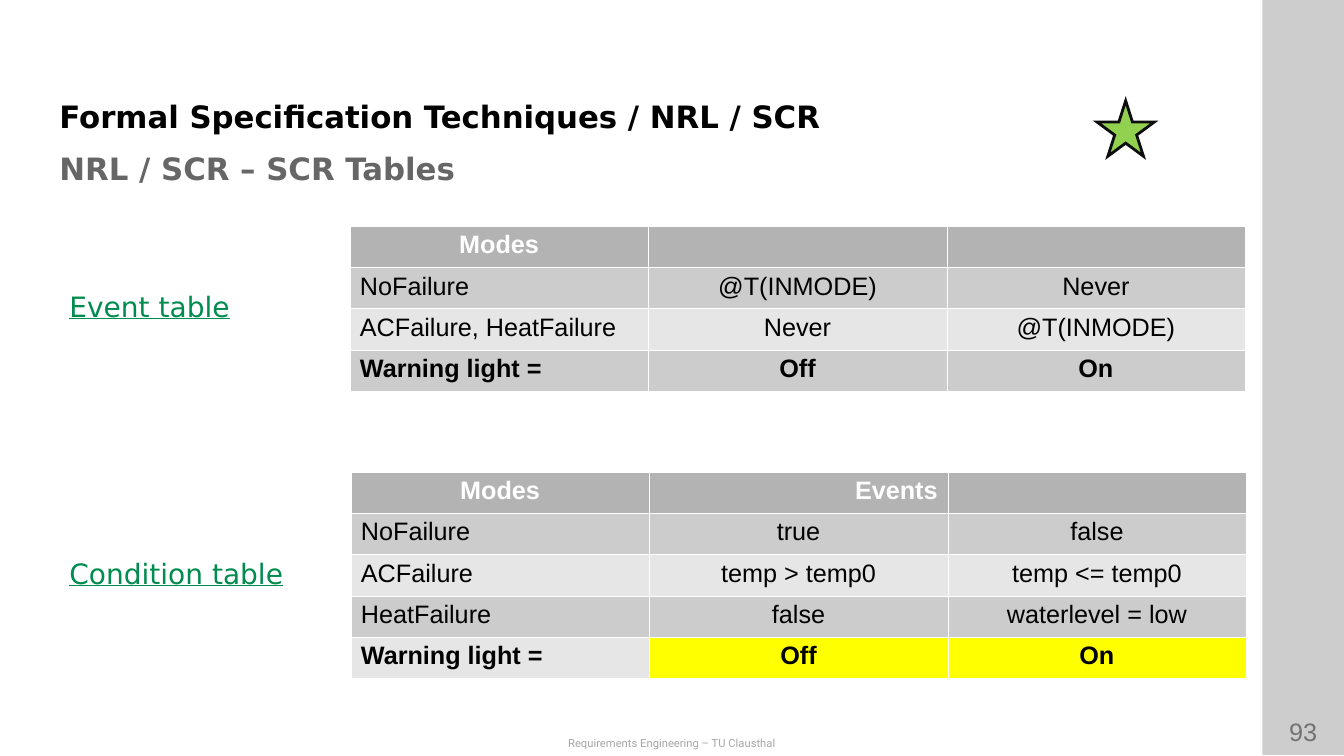
from dataclasses import dataclass

from lxml.etree import SubElement
from pptx import Presentation
from pptx.dml.color import RGBColor
from pptx.enum.shapes import MSO_SHAPE
from pptx.enum.text import MSO_ANCHOR, PP_ALIGN
from pptx.oxml.ns import qn
from pptx.util import Emu, Pt

EMU_PER_PX = 9144
LEFT, CENTER, RIGHT = PP_ALIGN.LEFT, PP_ALIGN.CENTER, PP_ALIGN.RIGHT
HEADER, DARK, LIGHT, YELLOW = "B3B3B3", "CCCCCC", "E6E6E6", "FFFF00"
COL_W, ROW_H = 296, 41


@dataclass
class Box:
    x: int
    y: int
    w: int
    h: int


@dataclass
class Label:
    text: str
    box: Box
    size: int
    color: str
    font: str = "DejaVu Sans"
    bold: bool = False
    underline: bool = False
    align: PP_ALIGN = LEFT
    anchor: MSO_ANCHOR = MSO_ANCHOR.TOP
    inset_x: int = 10
    inset_y: int = 5


@dataclass
class ModeTable:
    x: int
    y: int
    rows: list[list[str]]
    result_fill: str


SIDEBAR = Box(1252, 0, 81, 749)
PAGE_NUMBER = Label("93", Box(1251, 706, 83, 40), 18, "808080", font="Arial", align=CENTER)
LABELS = [
    Label("Requirements Engineering – TU Clausthal", Box(0, 726, 1333, 23), 8, "A6A6A6",
          font="Roboto", align=CENTER),
    Label("Formal Specification Techniques / NRL / SCR", Box(59, 79, 1133, 55), 22, "000000",
          bold=True, anchor=MSO_ANCHOR.BOTTOM, inset_x=0, inset_y=0),
    Label("NRL / SCR – SCR Tables", Box(59, 139, 1133, 55), 22, "666666",
          bold=True, anchor=MSO_ANCHOR.MIDDLE, inset_x=0, inset_y=0),
    Label("Condition table", Box(59, 547, 280, 43), 20, "008C4F", underline=True),
    Label("Event table", Box(59, 282, 280, 43), 20, "008C4F", underline=True),
]
TABLES = [
    ModeTable(347, 224, [
        ["Modes", "", ""],
        ["NoFailure", "@T(INMODE)", "Never"],
        ["ACFailure, HeatFailure", "Never", "@T(INMODE)"],
        ["Warning light =", "Off", "On"],
    ], DARK),
    ModeTable(348, 468, [
        ["Modes", "Events", ""],
        ["NoFailure", "true", "false"],
        ["ACFailure", "temp > temp0", "temp <= temp0"],
        ["HeatFailure", "false", "waterlevel = low"],
        ["Warning light =", "Off", "On"],
    ], YELLOW),
]


def px(n: int) -> Emu:
    return Emu(n * EMU_PER_PX)


def place(box: Box) -> list[Emu]:
    return [px(n) for n in (box.x, box.y, box.w, box.h)]


def paint(fill, color: str) -> None:
    fill.solid()
    fill.fore_color.rgb = RGBColor.from_string(color)


def write(tf, text: str, *, size: int, color: str, font: str = "Arial", bold: bool = False,
          underline: bool = False, align: PP_ALIGN = LEFT) -> None:
    p = tf.paragraphs[0]
    p.alignment = align
    r = p.add_run()
    r.text = text
    r.font.name = font
    r.font.size = Pt(size)
    r.font.bold = bold
    r.font.underline = underline
    paint(r.font.fill, color)


def add_label(s, label: Label) -> None:
    tf = s.shapes.add_textbox(*place(label.box)).text_frame
    tf.word_wrap = True
    tf.vertical_anchor = label.anchor
    tf.margin_left = tf.margin_right = px(label.inset_x)
    tf.margin_top = tf.margin_bottom = px(label.inset_y)
    write(tf, label.text, size=label.size, color=label.color, font=label.font,
          bold=label.bold, underline=label.underline, align=label.align)


def add_sidebar(s) -> None:
    sp = s.shapes.add_shape(MSO_SHAPE.RECTANGLE, *place(SIDEBAR))
    sp.shadow.inherit = False
    sp.line.fill.background()
    paint(sp.fill, "000000")
    color = sp._element.spPr.find(qn("a:solidFill"))[0]
    SubElement(color, qn("a:alpha"), val="10000")


def add_star(s) -> None:
    sp = s.shapes.add_shape(MSO_SHAPE.STAR_5_POINT, *place(Box(1088, 100, 57, 55)))
    sp.shadow.inherit = False
    paint(sp.fill, "92D050")
    paint(sp.line.fill, "0D0D0D")
    sp.line.width = Pt(2)
    SubElement(sp.line._ln, qn("a:miter"), lim="800000")


def add_borders(cell) -> None:
    tcPr = cell._tc.get_or_add_tcPr()
    for side in ("lnL", "lnR", "lnT", "lnB"):
        ln = SubElement(tcPr, qn(f"a:{side}"), w="762")
        SubElement(SubElement(ln, qn("a:solidFill")), qn("a:srgbClr"), val="FFFFFF")


def cell_align(text: str, is_header: bool, col: int) -> PP_ALIGN:
    if text == "Events":
        return RIGHT
    return CENTER if is_header or col else LEFT


def add_mode_table(s, spec: ModeTable) -> None:
    n_rows, n_cols = len(spec.rows), len(spec.rows[0])
    box = Box(spec.x, spec.y, COL_W * n_cols, ROW_H * n_rows)
    table = s.shapes.add_table(n_rows, n_cols, *place(box)).table
    table.first_row = table.horz_banding = False
    for i, row in enumerate(spec.rows):
        is_header, is_result = i == 0, i == n_rows - 1
        band = HEADER if is_header else DARK if i % 2 else LIGHT
        for j, text in enumerate(row):
            cell = table.cell(i, j)
            add_borders(cell)
            paint(cell.fill, spec.result_fill if is_result and j else band)
            if text:
                write(cell.text_frame, text, size=18, bold=is_header or is_result,
                      color="FFFFFF" if is_header else "000000",
                      align=cell_align(text, is_header, j))


def main() -> None:
    prs = Presentation()
    prs.slide_width, prs.slide_height = px(1333), px(750)
    s = prs.slides.add_slide(prs.slide_layouts[6])
    add_sidebar(s)
    add_label(s, PAGE_NUMBER)
    add_sidebar(s)
    for label in LABELS:
        add_label(s, label)
    add_star(s)
    for spec in TABLES:
        add_mode_table(s, spec)
    prs.save("out.pptx")


if __name__ == "__main__":
    main()
